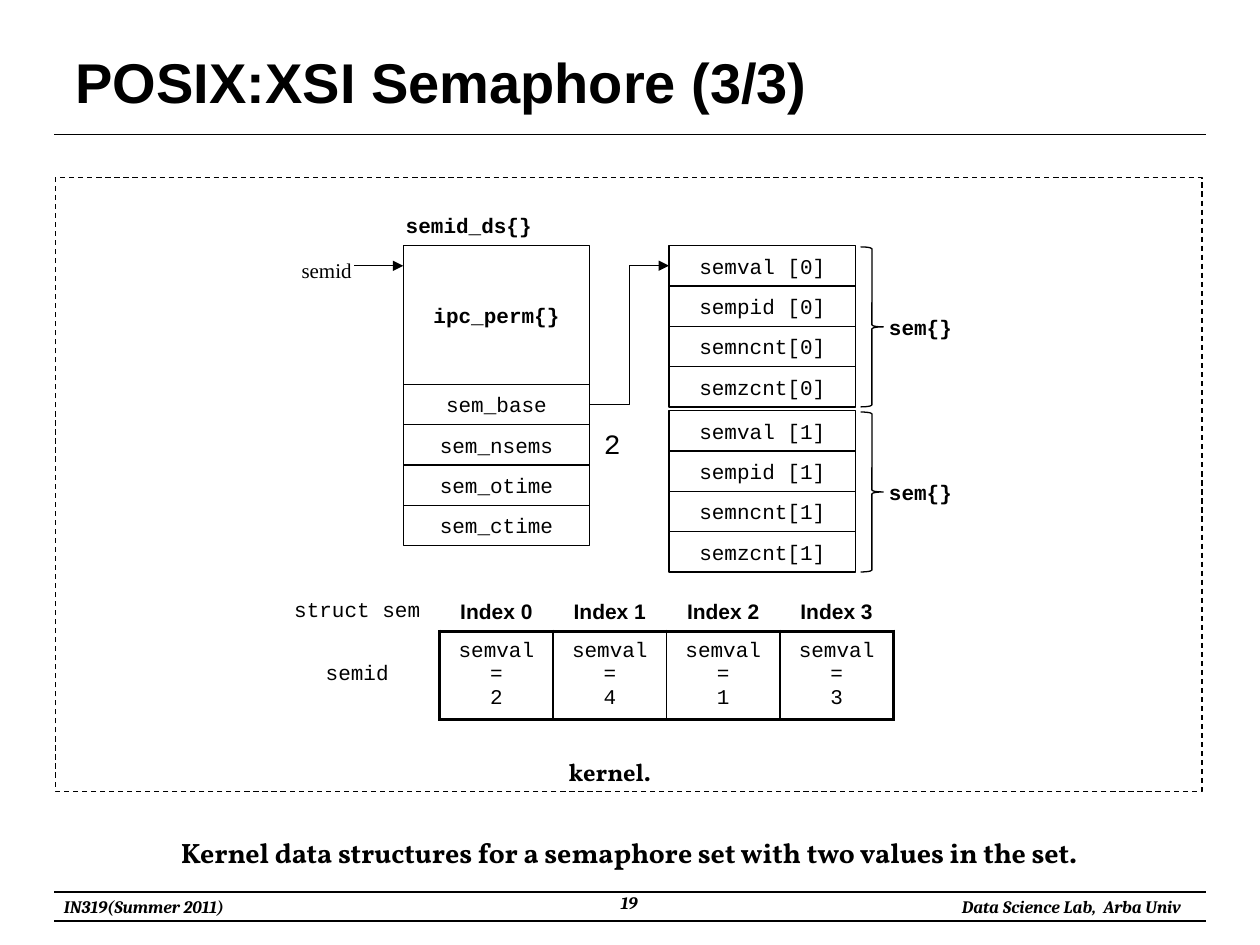
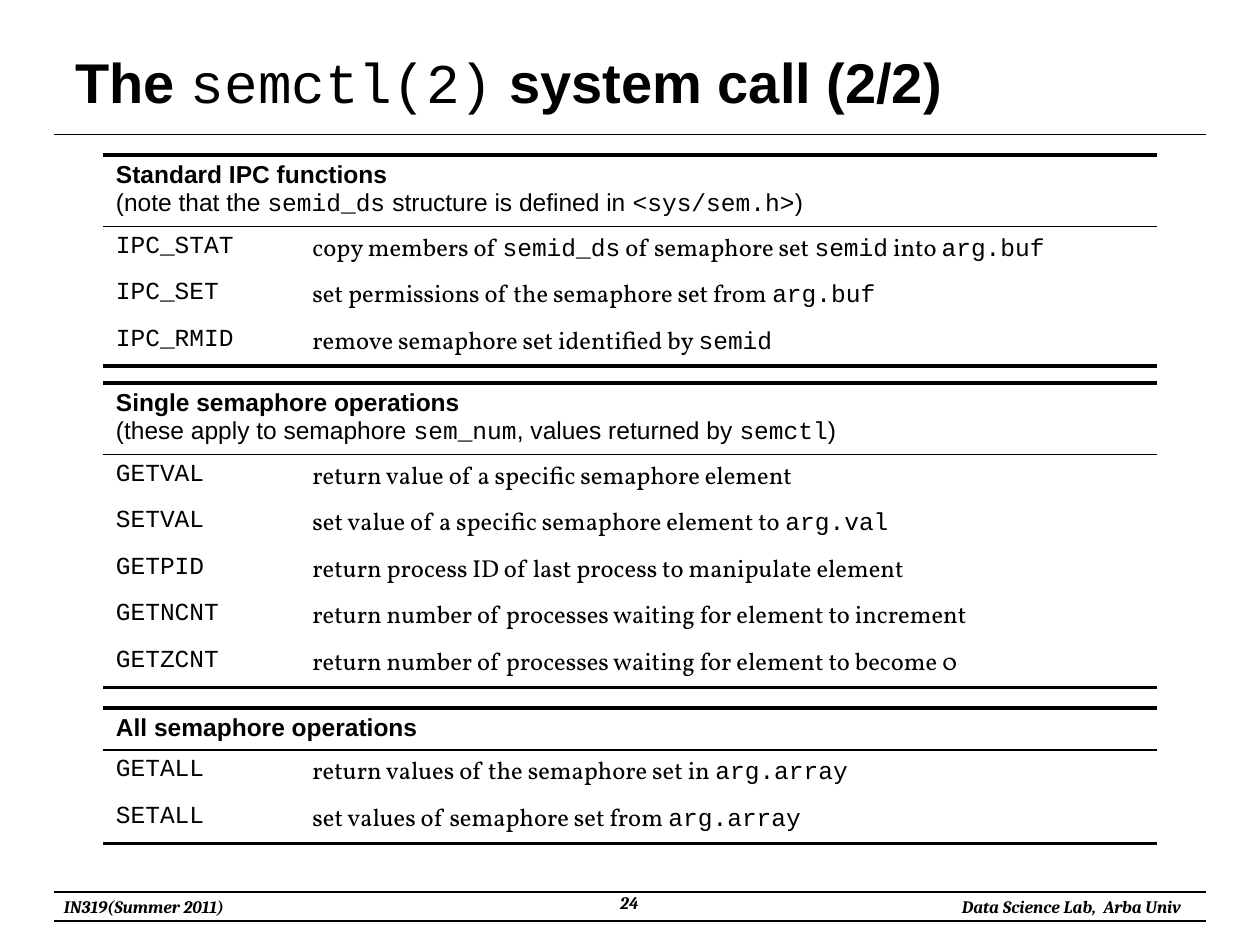
from dataclasses import dataclass
from lxml import etree
from pptx import Presentation
from pptx.dml.color import RGBColor
from pptx.enum.dml import MSO_LINE
from pptx.enum.shapes import MSO_CONNECTOR, MSO_SHAPE
from pptx.enum.text import MSO_ANCHOR, PP_ALIGN
from pptx.oxml.ns import qn
from pptx.util import Inches, Pt

LEFT, MID, RIGHT = PP_ALIGN.LEFT, PP_ALIGN.CENTER, PP_ALIGN.RIGHT
TOP, CENTER = MSO_ANCHOR.TOP, MSO_ANCHOR.MIDDLE
RECT, BRACE = MSO_SHAPE.RECTANGLE, MSO_SHAPE.RIGHT_BRACE
LINE, ELBOW = MSO_CONNECTOR.STRAIGHT, MSO_CONNECTOR.ELBOW
DASH = MSO_LINE.DASH


@dataclass
class Style:
    font: str
    size: int
    bold: bool = False
    italic: bool = False


class Theme:
    ink = RGBColor(0, 0, 0)
    thin, rule, thick = 0.75, 1, 2.25
    title = Style("Arial", 32, True)
    mono = Style("Courier New", 32)
    foot = Style("Cambria", 10, True, True)
    code = Style("Courier New", 12)
    strong = Style("Courier New", 12, True)
    count = Style("Courier New", 16)
    label = Style("Times New Roman", 12)
    index = Style("Arial", 12, True)
    kernel = Style("Vollkorn", 14, True)
    note = Style("Vollkorn", 16, True)
    head = Style("Arial", 14, True)
    plain = Style("Arial", 14)
    prose = Style("Vollkorn", 14)
    key = Style("Courier New", 14)


RULES = [1.07, 7.08, 7.31]
FOOTERS = [
    ("IN319(Summer 2011)", (0.41, 7.06, 1.73, 0.27), LEFT),
    ("Data Science Lab,  Arba Univ", (7.16, 7.06, 2.31, 0.27), RIGHT),
]

SET_TITLE = [("POSIX:XSI Semaphore (3/3)", Theme.title)]
FIELDS = ["sem_base", "sem_nsems", "sem_otime", "sem_ctime"]
MEMBERS = ["semval ", "sempid ", "semncnt", "semzcnt"]
VALUES = [2, 4, 1, 3]
LABELS = [
    ("semid", (2.31, 2.03, 0.58, 0.23), Theme.label, RIGHT, CENTER),
    ("semid_ds{}", (3.11, 1.64, 1.22, 0.3), Theme.strong, MID, TOP),
    ("2", (4.69, 3.34, 0.34, 0.37), Theme.count, MID, TOP),
    ("kernel.", (2.34, 5.96, 5, 0.34), Theme.kernel, MID, TOP),
    ("Kernel data structures for a semaphore set with two values in the set.",
     (1.09, 6.58, 7.81, 0.37), Theme.note, MID, TOP),
]

CALL_TITLE = [("The ", Theme.title), ("semctl(2)", Theme.mono),
              (" system call (2/2)", Theme.title)]
GROUPS = [
    (1.23, 0.56, "Standard IPC functions",
     ["(note that the ", "semid_ds", " structure is defined in ",
      "<sys/sem.h>", ")"],
     [("IPC_STAT", ["copy members of ", "semid_ds", " of semaphore set ",
                    "semid", " into ", "arg.buf"]),
      ("IPC_SET", ["set permissions of the semaphore set from ", "arg.buf"]),
      ("IPC_RMID", ["remove semaphore set identified by ", "semid"])]),
    (3.04, 0.56, "Single semaphore operations",
     ["(these apply to semaphore ", "sem_num", ", values returned by ",
      "semctl", ")"],
     [("GETVAL", ["return value of a specific semaphore element"]),
      ("SETVAL", ["set value of a specific semaphore element to ",
                  "arg.val"]),
      ("GETPID", ["return process ID of last process to manipulate element"]),
      ("GETNCNT",
       ["return number of processes waiting for element to increment"]),
      ("GETZCNT",
       ["return number of processes waiting for element to become 0"])]),
    (5.62, 0.32, "All semaphore operations", [],
     [("GETALL", ["return values of the semaphore set in ", "arg.array"]),
      ("SETALL", ["set values of semaphore set from ", "arg.array"])]),
]


def inches(nums):
    return [Inches(n) for n in nums]


def write(frame, runs, align=LEFT):
    para = frame.paragraphs[0]
    para.alignment = align
    for text, style in runs:
        for n, part in enumerate(text.split("\n")):
            if n:
                para.add_line_break()
            if part:
                run = para.add_run()
                run.text = part
                font = run.font
                font.name, font.size = style.font, Pt(style.size)
                font.bold, font.italic = style.bold, style.italic
                font.color.rgb = Theme.ink


def mix(parts, text, code):
    return [(part, code if n % 2 else text) for n, part in enumerate(parts)]


def label(slide, text, at, style, align=MID, anchor=TOP, wrap=False):
    box = slide.shapes.add_textbox(*inches(at))
    frame = box.text_frame
    frame.word_wrap = wrap
    frame.vertical_anchor = anchor
    if align != LEFT:
        frame.margin_left = 0
    if align == MID:
        frame.margin_right = 0
    write(frame, [(text, style)], align)
    return box


def outline(slide, kind, at, text="", style=Theme.code):
    shape = slide.shapes.add_shape(kind, *inches(at))
    shape.shadow.inherit = False
    shape.fill.background()
    shape.line.color.rgb = Theme.ink
    shape.line.width = Pt(Theme.thin)
    if text:
        shape.text_frame.word_wrap = False
        shape.text_frame.vertical_anchor = CENTER
        write(shape.text_frame, [(text, style)], MID)
    return shape


def join(slide, kind, ends, arrow=False):
    line = slide.shapes.add_connector(kind, *inches(ends))
    line.line.color.rgb = Theme.ink
    line.line.width = Pt(Theme.thin)
    if arrow:
        tail = etree.SubElement(line.line._get_or_add_ln(), qn("a:tailEnd"))
        tail.set("type", "triangle")
    etree.SubElement(line.element.spPr, qn("a:effectLst"))
    return line


def edge(cell, left=0, right=0, top=0, bottom=0):
    cell.fill.background()
    props = cell._tc.get_or_add_tcPr()
    sides = [("L", left), ("R", right), ("T", top), ("B", bottom)]
    for n, (side, width) in enumerate(sides):
        line = etree.Element(qn("a:ln" + side), w=str(int(Pt(width))))
        if width:
            fill = etree.SubElement(line, qn("a:solidFill"))
            etree.SubElement(fill, qn("a:srgbClr"), val=str(Theme.ink))
        else:
            etree.SubElement(line, qn("a:noFill"))
        props.insert(n, line)


def grid(slide, left, top, cols, rows):
    at = inches((left, top, sum(cols), sum(rows)))
    table = slide.shapes.add_table(len(rows), len(cols), *at).table
    table.first_row = table.horz_banding = False
    for col, width in zip(table.columns, cols):
        col.width = Inches(width)
    for row, height in zip(table.rows, rows):
        row.height = Inches(height)
    return table


def start(deck, title, page):
    slide = deck.slides.add_slide(deck.slide_layouts[5])
    head = slide.shapes.title
    head.left, head.top, head.width, head.height = inches((0.5, 0.3, 9, 0.69))
    head.text_frame.vertical_anchor = CENTER
    write(head.text_frame, title)
    label(slide, str(page), (3.83, 7.03, 2.33, 0.31), Theme.foot, wrap=True)
    return slide


def furnish(deck, slide):
    parts = [join(slide, LINE, (0.43, y, 9.57, y)) for y in RULES]
    parts += [label(slide, text, at, Theme.foot, align)
              for text, at, align in FOOTERS]
    for part in parts:
        deck.slide_master.shapes.element.append(part.element)


def draw_set(slide):
    left, right, top, wide, high = 3.2, 5.31, 1.95, 1.48, 0.32
    perm = 1.1
    outline(slide, RECT, (0.44, 1.41, 9.1, 4.87)).line.dash_style = DASH
    outline(slide, RECT, (left, top, wide, perm), "ipc_perm{}", Theme.strong)
    fields = [outline(slide, RECT, (left, top + perm + n * high, wide, high),
                      name) for n, name in enumerate(FIELDS)]
    cells = []
    for n in range(2):
        y = top + n * 1.31
        cells += [outline(slide, RECT, (right, y + k * high, wide, high),
                          f"{name}[{n}]") for k, name in enumerate(MEMBERS)]
        outline(slide, BRACE, (6.83, y + 0.01, 0.18, 1.27))
        label(slide, "sem{}", (7.03, y + 0.57, 0.55, 0.16), Theme.strong,
              anchor=CENTER)
    for text, at, style, align, anchor in LABELS:
        label(slide, text, at, style, align, anchor, wrap=at[2] >= 5)
    join(slide, LINE, (2.81, 2.11, left, 2.11), True)
    link = join(slide, ELBOW, (left + wide, 3.21, right, 2.11), True)
    link.begin_connect(fields[0], 3)
    link.end_connect(cells[0], 1)


def draw_values(slide):
    size = len(VALUES)
    table = grid(slide, 2.18, 4.71, [1.31] + [0.9] * size, [0.3, 0.7])
    rows = [["struct sem"] + [f"Index {n}" for n in range(size)],
            ["semid"] + [f"semval\n=\n{v}" for v in VALUES]]
    thick, rule = Theme.thick, Theme.rule
    for r, row in enumerate(rows):
        for c, text in enumerate(row):
            cell = table.cell(r, c)
            cell.vertical_anchor = CENTER
            style = Theme.index if c and not r else Theme.code
            write(cell.text_frame, [(text, style)], MID)
            if r and c:
                edge(cell, thick if c == 1 else rule,
                     thick if c == size else rule, thick, thick)
            else:
                edge(cell, right=thick if r else 0, bottom=thick if c else 0)


def draw_group(slide, top, high, name, note, calls):
    last = len(calls)
    table = grid(slide, 0.82, top, [1.56, 6.8], [high] + [0.37] * last)
    table.cell(0, 0).merge(table.cell(0, 1))
    head = [(name + ("\n" if note else ""), Theme.head)]
    write(table.cell(0, 0).text_frame,
          head + mix(note, Theme.plain, Theme.key))
    for r, (call, text) in enumerate(calls, 1):
        write(table.cell(r, 0).text_frame, [(call, Theme.key)])
        write(table.cell(r, 1).text_frame, mix(text, Theme.prose, Theme.key))
    above = {0: Theme.thick, 1: Theme.rule}
    below = {0: Theme.rule, last: Theme.thick}
    for r in range(last + 1):
        for c in range(2):
            edge(table.cell(r, c), top=above.get(r, 0),
                 bottom=below.get(r, 0))


deck = Presentation()
deck.slide_width, deck.slide_height = inches((10, 7.5))
first = start(deck, SET_TITLE, 19)
furnish(deck, first)
draw_set(first)
draw_values(first)
second = start(deck, CALL_TITLE, 24)
for group in GROUPS:
    draw_group(second, *group)
deck.save("out.pptx")
